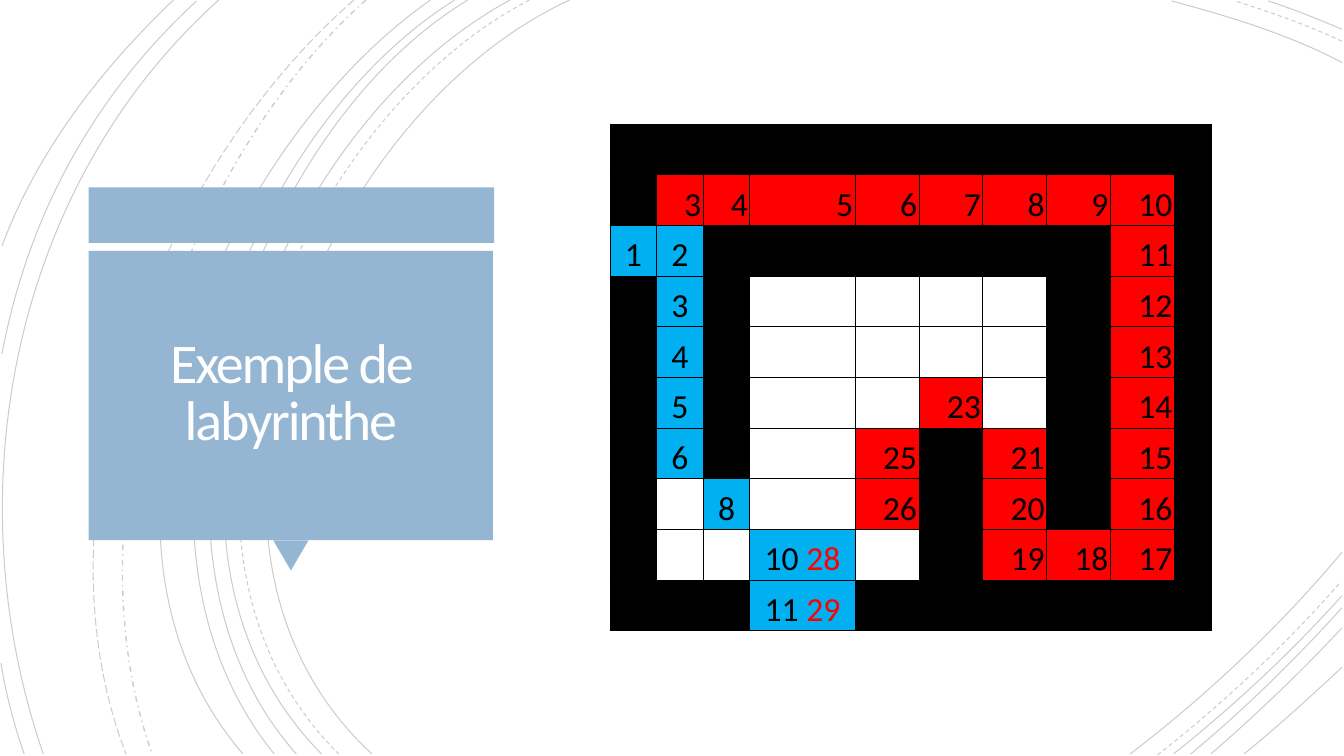
from lxml import etree
from pptx import Presentation
from pptx.dml.color import RGBColor
from pptx.enum.dml import MSO_LINE
from pptx.enum.shapes import MSO_SHAPE
from pptx.enum.text import MSO_ANCHOR, PP_ALIGN
from pptx.oxml.ns import qn
from pptx.util import Inches, Pt

SOLID, DASH = MSO_LINE.SOLID, MSO_LINE.DASH
DASH_DOT, LONG_DASH = MSO_LINE.DASH_DOT, MSO_LINE.LONG_DASH
RECTANGLE, TRIANGLE = MSO_SHAPE.RECTANGLE, MSO_SHAPE.ISOSCELES_TRIANGLE
MIDDLE, BOTTOM = MSO_ANCHOR.MIDDLE, MSO_ANCHOR.BOTTOM
CENTER, RIGHT = PP_ALIGN.CENTER, PP_ALIGN.RIGHT

THEME = {
    "font": "Calibri", "title_size": 40, "cell_size": 24,
    "title": "FFFEFF", "panel": "94B6D2", "ink": "000000",
    "red": "FF0000", "blue": "00B0F0",
    "arc_opacity": 20, "arc_width": 0.75, "grid_width": 0.5,
}

TITLE = "Exemple de labyrinthe"

# "#" wall, "." free cell, r = red path, b = blue path; "/" adds a red second number
MAZE = [row.split() for row in (
    "# # # # # # # # # #",
    "# r3 r4 r5 r6 r7 r8 r9 r10 #",
    "b1 b2 # # # # # # r11 #",
    "# b3 # . . . . # r12 #",
    "# b4 # . . . . # r13 #",
    "# b5 # . . r23 . # r14 #",
    "# b6 # . r25 # r21 # r15 #",
    "# . b8 . r26 # r20 # r16 #",
    "# . . b10/28 . # r19 r18 r17 #",
    "# # # b11/29 # # # # # #",
)]
MAZE_LEFT, MAZE_TOP, MAZE_WIDTH, MAZE_HEIGHT = 6.05, 1.23, 5.97, 5.03
COLUMN_SHARES = [0.46] * 3 + [1.04] + [0.63] * 5 + [0.37]

# Bezier arcs by dash style: start, two control points, end
ARCS = {
    SOLID: [
        ((5.65, 0), (3.15, 1.15), (1.43, 5.4), (3.69, 7.48)),
        ((13.31, 0.62), (12.78, 0.34), (12.18, 0.16), (11.62, 0.01)),
        ((11.21, 7.48), (11.97, 6.9), (12.69, 6.22), (13.31, 5.48)),
        ((5.06, 0), (2.7, 1.27), (1.1, 5.37), (3.19, 7.48)),
        ((13.31, 0.29), (13.07, 0.19), (12.83, 0.09), (12.58, 0.01)),
        ((11.64, 7.48), (12.23, 7.01), (12.8, 6.48), (13.31, 5.91)),
        ((4.64, 0), (2.44, 1.33), (1.1, 5.41), (2.94, 7.48)),
        ((11.81, 7.48), (12.34, 7.04), (12.84, 6.55), (13.31, 6.03)),
        ((4.51, 0), (2.31, 1.38), (0.97, 5.33), (2.72, 7.48)),
        ((12.01, 7.48), (12.46, 7.09), (12.9, 6.67), (13.31, 6.23)),
        ((4.27, 0), (2.17, 1.47), (0.53, 5.29), (2.41, 7.48)),
        ((12.34, 7.48), (12.67, 7.21), (12.99, 6.92), (13.31, 6.62)),
        ((2.17, 0), (0.11, 1.85), (-0.46, 4.9), (0.43, 7.48)),
        ((1.95, 0.01), (0.92, 0.96), (0.28, 2.14), (0.02, 3.51)),
        ((0.01, 6.58), (0.06, 6.89), (0.14, 7.19), (0.24, 7.48)),
        ((1.72, 0), (1, 0.69), (0.37, 1.5), (0.02, 2.44)),
    ],
    DASH: [
        ((5.25, 0), (2.85, 1.25), (1.23, 5.37), (3.36, 7.48)),
        ((13.31, 0.41), (12.97, 0.25), (12.6, 0.12), (12.25, 0.01)),
        ((11.48, 7.49), (12.13, 6.98), (12.75, 6.4), (13.3, 5.77)),
    ],
    DASH_DOT: [((3.63, 0), (1.76, 1.66), (0.65, 5.09), (1.51, 7.48))],
    LONG_DASH: [((3.51, 0), (1.57, 1.69), (0.29, 4.99), (1.25, 7.48))],
}

# Title panel: shape, left, top, width, height, rotation
PANEL = [
    (RECTANGLE, 0.88, 1.86, 4.02, 0.55, 0),
    (TRIANGLE, 2.71, 5.36, 0.35, 0.3, 180),
    (RECTANGLE, 0.88, 2.49, 4.01, 2.87, 0),
]


def color(name):
    """Return the theme colour with this name."""
    return RGBColor.from_string(THEME[name])


def bend(shape):
    """Turn the three straight segments of a freeform into one cubic curve."""
    outline = shape._element.find(".//" + qn("a:path"))
    segments = outline.findall(qn("a:lnTo"))
    curve = etree.SubElement(outline, qn("a:cubicBezTo"))
    for segment in segments:
        curve.append(segment[0])
        outline.remove(segment)


def draw_arc(page, points, dash):
    """Draw one faint background arc."""
    start, *rest = [tuple(map(Inches, point)) for point in points]
    builder = page.shapes.build_freeform(*start)
    builder.add_line_segments(rest, close=False)
    arc = builder.convert_to_shape()
    bend(arc)
    arc.shadow.inherit = False
    arc.fill.background()
    arc.line.color.rgb = color("ink")
    arc.line.width = Pt(1 if dash == DASH_DOT else THEME["arc_width"])
    arc.line.dash_style = dash
    ink = arc.line._get_or_add_ln().find(".//" + qn("a:srgbClr"))
    etree.SubElement(ink, qn("a:alpha"), val=str(THEME["arc_opacity"] * 1000))


def draw_panel(page):
    """Draw the blocks behind the title."""
    for kind, left, top, width, height, rotation in PANEL:
        block = page.shapes.add_shape(kind, *map(Inches, (left, top, width, height)))
        block.rotation = rotation
        block.shadow.inherit = False
        block.fill.solid()
        block.fill.fore_color.rgb = color("panel")
        block.line.fill.background()


def write(frame, spans, size, align, spacing=None, tracking=None):
    """Fill a text frame with one paragraph of (text, colour name) spans."""
    para = frame.paragraphs[0]
    para.alignment = align
    if spacing:
        para.line_spacing = spacing
    for text, ink in spans:
        span = para.add_run()
        span.text = text
        span.font.name = THEME["font"]
        span.font.size = Pt(size)
        span.font.color.rgb = color(ink)
        if tracking:
            span.font._element.set("spc", str(int(tracking * 100)))


def set_margins(target, left, top, right, bottom):
    """Set the inner margins of a cell or text frame."""
    target.margin_left, target.margin_top = Inches(left), Inches(top)
    target.margin_right, target.margin_bottom = Inches(right), Inches(bottom)


def draw_title(page):
    """Place the title over the panel."""
    box = page.shapes.add_textbox(Inches(0.97), Inches(2.57), Inches(3.83), Inches(2.69))
    frame = box.text_frame
    frame.word_wrap = True
    frame.vertical_anchor = MIDDLE
    set_margins(frame, 0.25, 0.25, 0.25, 0.25)
    write(frame, [(TITLE, "title")], THEME["title_size"], CENTER, spacing=0.85, tracking=-1.5)


def add_borders(cell):
    """Give a cell thin borders on all four sides."""
    properties = cell._tc.get_or_add_tcPr()
    for side in ("lnL", "lnR", "lnT", "lnB"):
        line = etree.SubElement(properties, qn("a:" + side), w=str(Pt(THEME["grid_width"])))
        fill = etree.SubElement(line, qn("a:solidFill"))
        etree.SubElement(fill, qn("a:srgbClr"), val=THEME["ink"])


def fill_cell(cell, token):
    """Colour and number one maze cell from its token."""
    add_borders(cell)
    set_margins(cell, 0.02, 0.02, 0.02, 0)
    cell.vertical_anchor = BOTTOM
    kind, numbers = token[0], token[1:]
    if kind == ".":
        cell.fill.background()
        return
    cell.fill.solid()
    cell.fill.fore_color.rgb = color({"#": "ink", "r": "red", "b": "blue"}[kind])
    if numbers:
        first, slash, second = numbers.partition("/")
        spans = [(first + " ", "ink"), (second, "red")] if slash else [(first, "ink")]
        write(cell.text_frame, spans, THEME["cell_size"], RIGHT if kind == "r" else CENTER)


def draw_maze(page):
    """Draw the maze as a table."""
    table = page.shapes.add_table(
        len(MAZE), len(COLUMN_SHARES), Inches(MAZE_LEFT), Inches(MAZE_TOP),
        Inches(MAZE_WIDTH), Inches(MAZE_HEIGHT)).table
    table.first_row = table.horz_banding = False
    for column, share in zip(table.columns, COLUMN_SHARES):
        column.width = Inches(MAZE_WIDTH * share / sum(COLUMN_SHARES))
    for row, tokens in zip(table.rows, MAZE):
        row.height = Inches(MAZE_HEIGHT / len(MAZE))
        for cell, token in zip(row.cells, tokens):
            fill_cell(cell, token)


deck = Presentation()
deck.slide_width, deck.slide_height = Inches(13.33), Inches(7.5)
page = deck.slides.add_slide(deck.slide_layouts[6])
for dash, arcs in ARCS.items():
    for points in arcs:
        draw_arc(page, points, dash)
draw_panel(page)
draw_title(page)
draw_maze(page)
deck.save("out.pptx")
